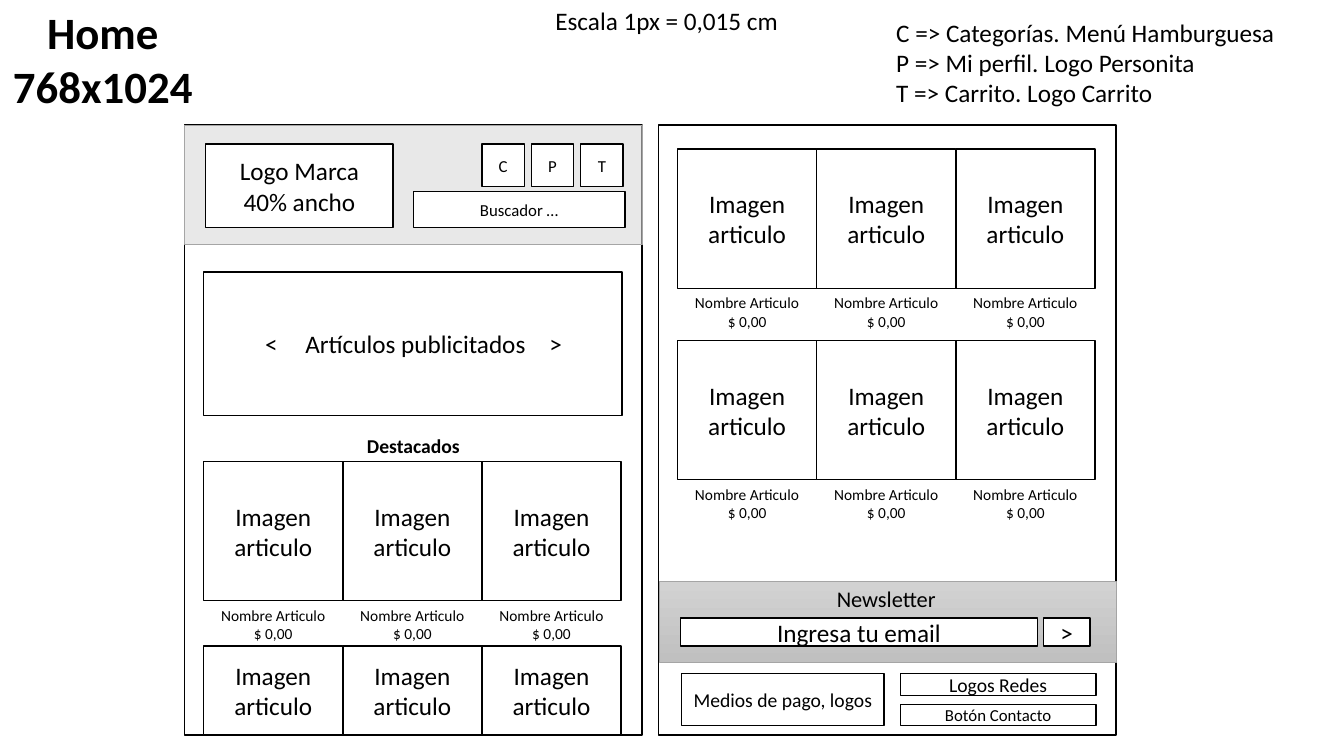
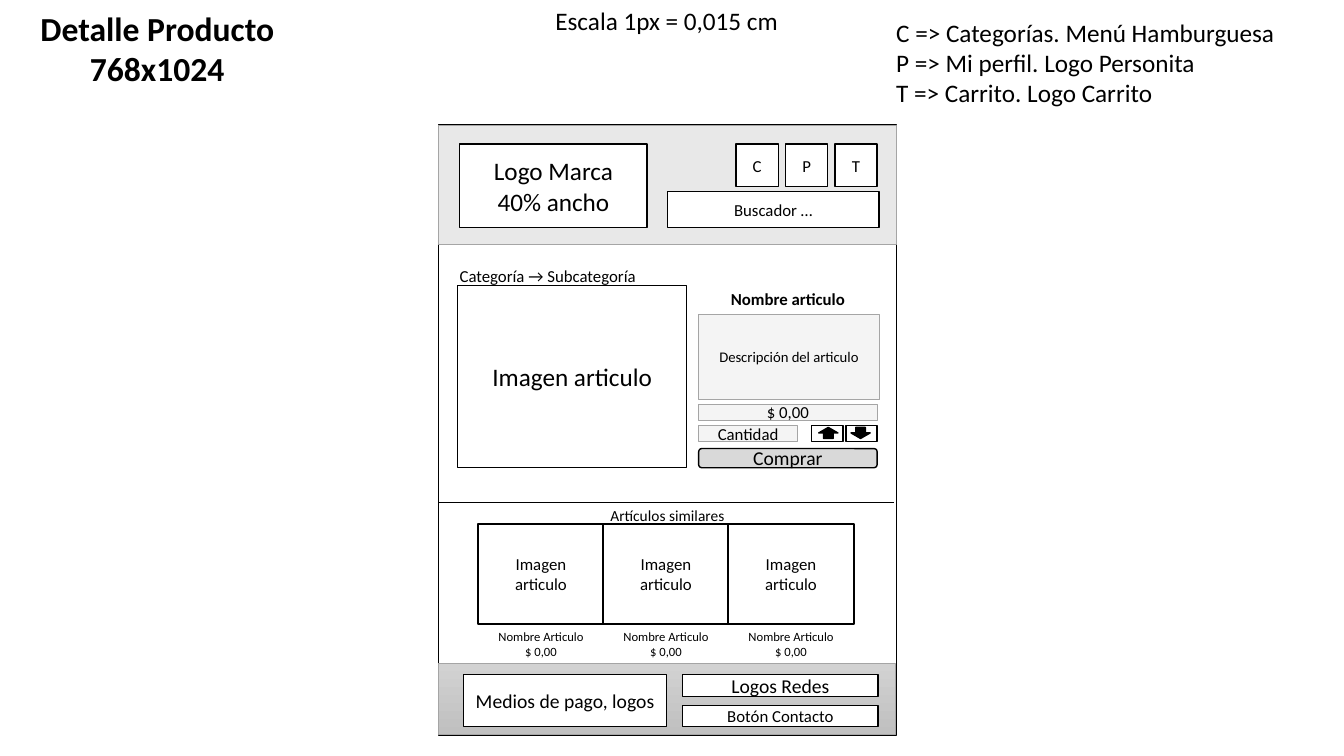
import dataclasses

import lxml.etree
import pptx
import pptx.dml.color
import pptx.enum.shapes
import pptx.enum.text
import pptx.oxml.ns
import pptx.util

Inches = pptx.util.Inches
Pt = pptx.util.Pt
qn = pptx.oxml.ns.qn
MSO = pptx.enum.shapes.MSO_SHAPE
ALIGN = pptx.enum.text.PP_ALIGN


@dataclasses.dataclass(frozen=True)
class Theme:
    font: str = "Calibri"
    ink: str = "000000"
    paper: str = "FFFFFF"
    gray: str = "D9D9D9"
    edge: str = "A5A5A5"
    band: tuple = ("D2D2D2", "C0C0C0")
    title: float = 32
    subtitle: float = 24
    body: float = 18
    heading: float = 16
    label: float = 14
    small: float = 12
    caption: float = 11
    detail: float = 10.5
    tiny: float = 9
    line: float = 1
    hairline: float = 0.5


T = Theme()
PAGE_W, PAGE_H, PAGE_TOP = 4.54, 6.05, 1.24


def rgb(color):
    return pptx.dml.color.RGBColor.from_string(color)


def write(shape, text, size, bold=False, align=ALIGN.CENTER):
    tf = shape.text_frame
    tf.text = text
    for p in tf.paragraphs:
        p.alignment = align
        for r in p.runs:
            r.font.name = T.font
            r.font.size = Pt(size)
            r.font.bold = bold
            r.font.color.rgb = rgb(T.ink)


def add_text(shapes, x, y, w, h, text, size, bold=False, align=ALIGN.CENTER, wrap=True):
    tb = shapes.add_textbox(Inches(x), Inches(y), Inches(w), Inches(h))
    write(tb, text, size, bold, align)
    tb.text_frame.word_wrap = wrap
    tb.text_frame.auto_size = pptx.enum.text.MSO_AUTO_SIZE.SHAPE_TO_FIT_TEXT
    return tb


def add_box(shapes, x, y, w, h, text="", size=T.body, fill=T.paper, alpha=None,
            line=T.ink, width=T.line, kind=MSO.RECTANGLE):
    sp = shapes.add_shape(kind, Inches(x), Inches(y), Inches(w), Inches(h))
    sp.shadow.inherit = False
    if isinstance(fill, tuple):
        sp.fill.gradient()
        sp.fill.gradient_angle = 270
        for stop, color in zip(sp.fill.gradient_stops, fill):
            stop.color.rgb = rgb(color)
    else:
        sp.fill.solid()
        sp.fill.fore_color.rgb = rgb(fill)
    if alpha is not None:
        color = sp.fill._xPr.find(qn("a:solidFill")).find(qn("a:srgbClr"))
        lxml.etree.SubElement(color, qn("a:alpha")).set("val", str(alpha * 1000))
    sp.line.color.rgb = rgb(line)
    sp.line.width = Pt(width)
    if text:
        write(sp, text, size)
        sp.text_frame.vertical_anchor = pptx.enum.text.MSO_ANCHOR.MIDDLE
    return sp


def add_field(shapes, x, y, w, h, text="", size=T.small, fill=T.gray, alpha=None):
    """Gray area with a thin edge."""
    return add_box(shapes, x, y, w, h, text, size, fill, alpha, T.edge, T.hairline)


def add_rule(shapes, x1, x2, y):
    line = shapes.add_connector(pptx.enum.shapes.MSO_CONNECTOR.STRAIGHT,
                                Inches(x1), Inches(y), Inches(x2), Inches(y))
    line.line.color.rgb = rgb(T.ink)
    line.line.width = Pt(T.hairline)
    lxml.etree.SubElement(line.line._ln.getparent(), qn("a:effectLst"))


def add_notes_band(shapes, title, x, y, w, h, size):
    """Title, scale and legend above the wireframe."""
    add_text(shapes, x, y, w, h, title, size, bold=True, wrap=False)
    add_text(shapes, 5.41, 0, 2.43, 0.4, "Escala 1px = 0,015 cm", T.body,
             align=ALIGN.LEFT, wrap=False)
    add_text(shapes, 8.79, 0.12, 4, 1.01,
             "C => Categorías. Menú Hamburguesa\n"
             "P => Mi perfil. Logo Personita\n"
             "T => Carrito. Logo Carrito", T.body, align=ALIGN.LEFT, wrap=False)


def add_page(shapes, x):
    add_box(shapes, x, PAGE_TOP, PAGE_W, PAGE_H)


def add_header(shapes, x, y):
    """Site header: brand, three icons and search."""
    add_field(shapes, x, y, PAGE_W, 1.18, alpha=58)
    add_box(shapes, x + 0.21, y + 0.19, 1.86, 0.83, "Logo Marca\n40% ancho")
    for i, letter in enumerate("CPT"):
        add_box(shapes, x + 2.95 + i * 0.49, y + 0.19, 0.42, 0.42, letter, T.small)
    add_box(shapes, x + 2.27, y + 0.66, 2.1, 0.36, "Buscador …", T.small)


def add_products(shapes, x, y, w, h, pitch, size=T.body, caption=T.caption, caption_h=0.47):
    """Row of three products; no caption text if caption is None."""
    row = shapes.add_group_shape().shapes
    for i in range(3):
        left = x + i * pitch
        add_box(row, left, y, w, h, "Imagen articulo", size)
        if caption:
            add_text(row, left, y + h, w, caption_h, "Nombre Articulo\n$ 0,00", caption)


def add_footer(shapes, x, y):
    """Payment methods, social logos and contact button."""
    foot = shapes.add_group_shape().shapes
    add_box(foot, x, y, 2.01, 0.52, "Medios de pago, logos", T.label)
    add_box(foot, x + 2.17, y, 1.94, 0.22, "Logos Redes", T.label)
    add_box(foot, x + 2.17, y + 0.31, 1.94, 0.21, "Botón Contacto", T.small)


def add_carousel(shapes, x, y, w, h):
    """Promoted items between two arrows, placed by tab stops."""
    sp = add_box(shapes, x, y, w, h, "\t<\tArtículos publicitados\t>")
    p = sp.text_frame.paragraphs[0]
    p.alignment = ALIGN.LEFT
    tabs = lxml.etree.SubElement(p._p.get_or_add_pPr(), qn("a:tabLst"))
    for pos in (0.51, 0.91, 3.33):
        tab = lxml.etree.SubElement(tabs, qn("a:tab"))
        tab.set("pos", str(Inches(pos)))
        tab.set("algn", "l")


def add_newsletter(shapes, x, y):
    add_field(shapes, x, y, 4.53, 0.8, fill=T.band)
    add_box(shapes, x + 0.21, y + 0.36, 3.54, 0.28, "Ingresa tu email")
    add_box(shapes, x + 3.81, y + 0.36, 0.46, 0.28, ">")
    add_text(shapes, x + 0.18, y - 0.01, 4.14, 0.37, "Newsletter", T.heading)


def add_purchase(shapes, x, y):
    """Name, description, price, quantity and buy button."""
    add_text(shapes, x, y, 1.77, 0.3, "Nombre articulo", T.small, bold=True)
    add_field(shapes, x, y + 1.19, 1.77, 0.16, "$ 0,00", alpha=28)
    add_field(shapes, x, y + 0.3, 1.79, 0.84, "Descripción del articulo", T.detail, alpha=28)
    add_box(shapes, x, y + 1.63, 1.77, 0.19, "Comprar", T.label, T.gray,
            kind=MSO.ROUNDED_RECTANGLE)
    add_field(shapes, x, y + 1.4, 0.98, 0.16, "Cantidad", alpha=28)
    for dx, inset, kind in ((1.12, 0.07, MSO.UP_ARROW), (1.46, 0.05, MSO.DOWN_ARROW)):
        button = shapes.add_group_shape().shapes
        add_box(button, x + dx, y + 1.4, 0.31, 0.16)
        add_box(button, x + dx + inset, y + 1.42, 0.19, 0.11, fill=T.ink, kind=kind)


def build_home(s):
    shapes = s.shapes
    add_notes_band(shapes, "Home\n768x1024", 0.02, 0, 2, 1.18, T.title)
    grid = {"w": 1.38, "pitch": 1.38}
    # First part of the page
    add_page(shapes, 1.83)
    add_header(shapes, 1.83, PAGE_TOP)
    add_carousel(shapes, 2.02, 2.7, 4.15, 1.42)
    add_text(shapes, 2.04, 4.26, 4.12, 0.34, "Destacados", T.label, bold=True)
    add_products(shapes, 2.02, 4.58, h=1.38, **grid)
    add_products(shapes, 2.02, 6.41, h=0.88, caption=None, **grid)
    # Rest of the page
    add_page(shapes, 6.53)
    for y in (1.48, 3.38):
        add_products(shapes, 6.72, y, h=1.38, **grid)
    add_newsletter(shapes, 6.54, 5.77)
    add_footer(shapes, 6.76, 6.68)


def build_detail(s):
    shapes = s.shapes
    x = 4.35
    add_notes_band(shapes, "Detalle Producto\n768x1024", 0.29, 0.03, 2.54, 0.91, T.subtitle)
    add_page(shapes, x)
    add_header(shapes, x, PAGE_TOP)
    # Product
    add_box(shapes, 4.54, 2.83, 2.27, 1.81, "Imagen articulo")
    add_purchase(shapes, 6.93, 2.82)
    add_text(shapes, 4.46, 2.59, 3.28, 0.3, "Categoría → Subcategoría", T.small,
             align=ALIGN.LEFT)
    # Similar products
    add_products(shapes, 4.74, 5.2, 1.25, 0.99, 1.24, T.small, T.tiny, 0.29)
    add_text(shapes, 4.55, 4.97, 4.14, 0.29, "Artículos similares", T.caption)
    add_rule(shapes, x, 8.87, 4.98)
    # Footer
    add_field(shapes, x, 6.58, 4.53, 0.71, fill=T.band)
    add_footer(shapes, 4.6, 6.69)


def main():
    prs = pptx.Presentation()
    prs.slide_width, prs.slide_height = Inches(13.33), Inches(7.5)
    for build in (build_home, build_detail):
        build(prs.slides.add_slide(prs.slide_layouts[6]))
    prs.save("out.pptx")


if __name__ == "__main__":
    main()
